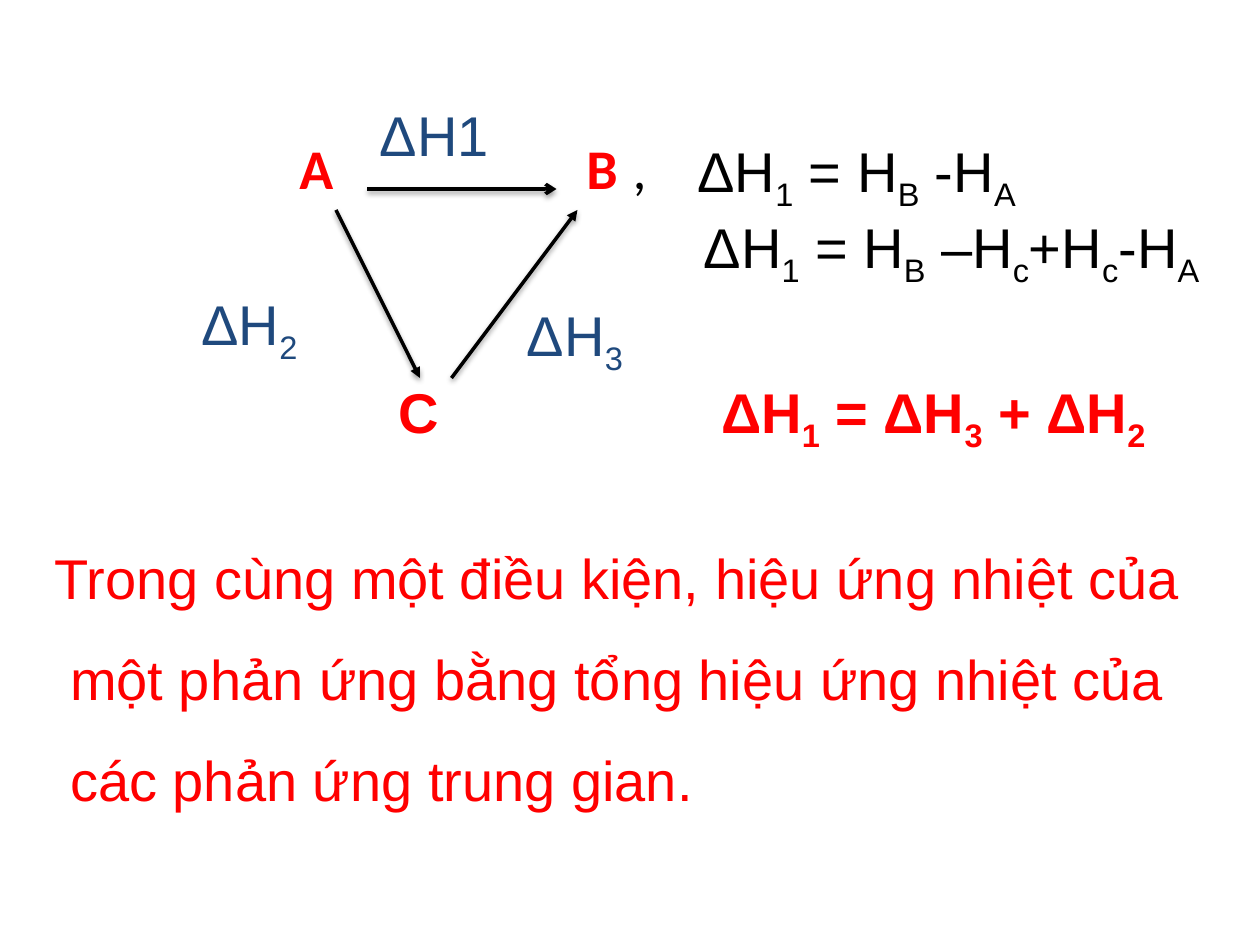
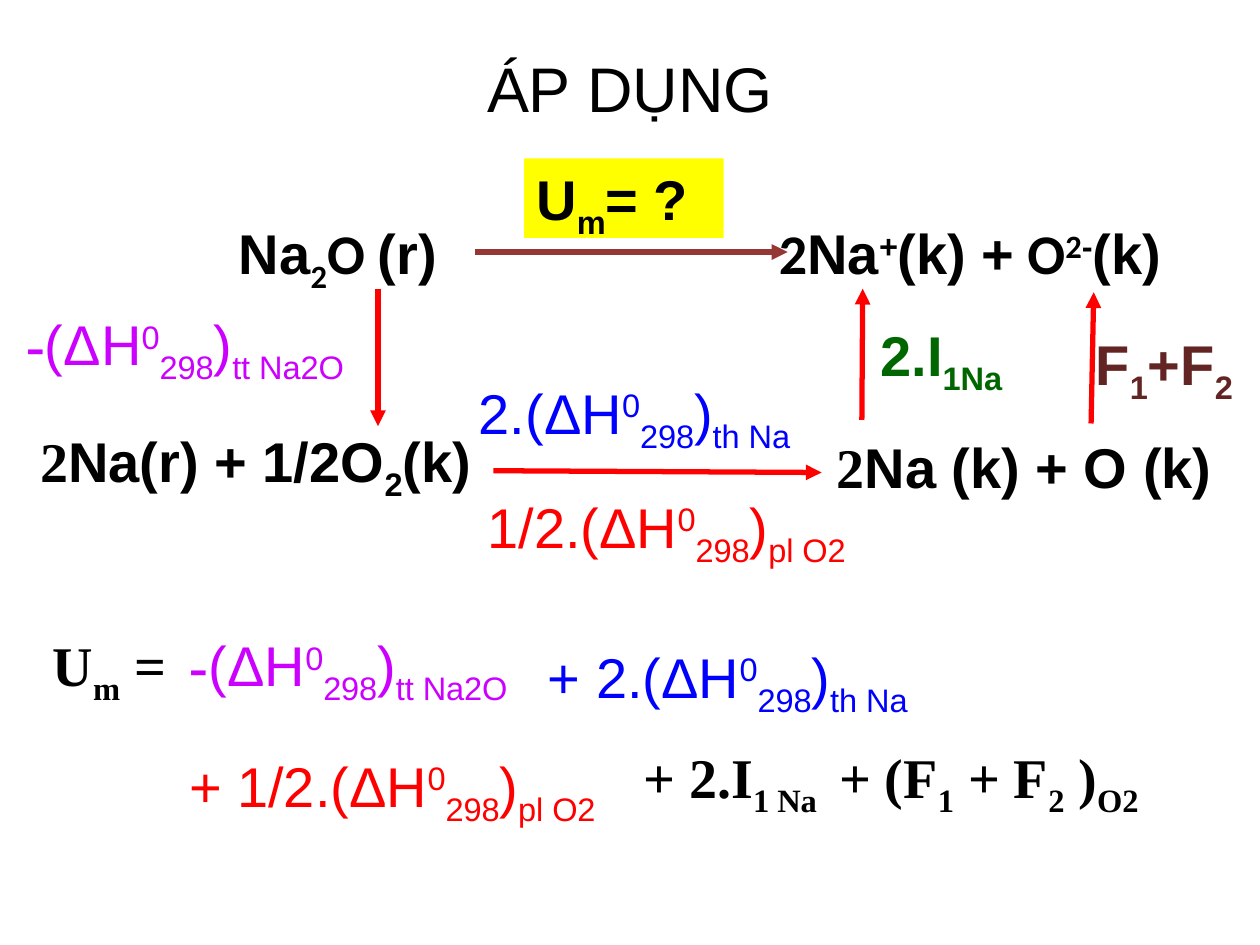
import pptx
import pptx.dml.color
import pptx.enum.shapes
import pptx.enum.text
import pptx.oxml
import pptx.oxml.ns
import pptx.util

Pt = pptx.util.Pt
RGB = pptx.dml.color.RGBColor

BLACK = RGB(0x00, 0x00, 0x00)
RED = RGB(0xFF, 0x00, 0x00)
BLUE = RGB(0x00, 0x00, 0xFF)
NAVY = RGB(0x1F, 0x49, 0x7D)
VIOLET = RGB(0xCC, 0x00, 0xFF)
GREEN = RGB(0x00, 0x66, 0x00)
MAROON = RGB(0x63, 0x25, 0x23)
BRICK = RGB(0x95, 0x37, 0x35)
YELLOW = RGB(0xFF, 0xFF, 0x00)

ARIAL, CALIBRI, TIMES = "Arial", "Calibri", "Times New Roman"
BASELINES = {"_": "-25000", "^": "30000"}
SOFT_SHADOW = (
    '<a:outerShdw blurRad="39370" dist="20320" dir="5400000" rotWithShape="0">'
    '<a:srgbClr val="000000"><a:alpha val="38000"/></a:srgbClr></a:outerShdw>'
)


def add_label(slide, left, top, width, color, *parts, size=32, height=46):
    """Add a text box; each part is (markup, font, bold).

    In the markup, | separates pieces; a piece led by _ or ^ is lowered or raised.
    """
    label = slide.shapes.add_textbox(Pt(left), Pt(top), Pt(width), Pt(height))
    label.text_frame.word_wrap = True
    for markup, font, bold in parts:
        look = {"name": font, "bold": bold, "size": Pt(size)}
        for piece in markup.split("|"):
            run = label.text_frame.paragraphs[0].add_run()
            run.text = piece.lstrip("_^")
            for attribute, value in look.items():
                setattr(run.font, attribute, value)
            run.font.color.rgb = color
            if piece[0] in BASELINES:
                run._r.get_or_add_rPr().set("baseline", BASELINES[piece[0]])
    return label


def add_arrow(slide, start, end, color, weight, head="triangle", effect=""):
    arrow = slide.shapes.add_connector(
        pptx.enum.shapes.MSO_CONNECTOR.STRAIGHT, *map(Pt, start + end))
    arrow.line.color.rgb = color
    arrow.line.width = Pt(weight)
    ns = pptx.oxml.ns.nsdecls("a")
    arrow.line._get_or_add_ln().append(
        pptx.oxml.parse_xml(f'<a:tailEnd {ns} type="{head}"/>'))
    arrow._element.spPr.append(
        pptx.oxml.parse_xml(f"<a:effectLst {ns}>{effect}</a:effectLst>"))


deck = pptx.Presentation()
deck.slide_width, deck.slide_height = Pt(720), Pt(540)
blank = deck.slide_layouts[6]

# Slide 1: the cycle A, B, C and the law
law = deck.slides.add_slide(blank)
for left, top, width, color, *parts in [
    (164, 73, 50, RED, ("A", CALIBRI, True)),
    (328, 73, 30, RED, ("B", CALIBRI, True)),
    (354.5, 73, 30, BLACK, (",", CALIBRI, False)),
    (220.5, 212, 50, RED, ("C", ARIAL, True)),
    (391.5, 74.5, 300, BLACK, ("ΔH|_1| = H|_B| -H|_A", ARIAL, False)),
    (395, 118, 320, BLACK, ("ΔH|_1| = H|_B| –H|_c|+H|_c|-H|_A", ARIAL, False)),
    (405, 212, 300, RED, ("ΔH|_1| = ΔH|_3| + ΔH|_2", ARIAL, True)),
    (210, 54, 80, NAVY, ("ΔH1", ARIAL, False)),
    (108, 162, 80, NAVY, ("ΔH|_2", ARIAL, False)),
    (294, 168, 80, NAVY, ("ΔH|_3", ARIAL, False)),
]:
    add_label(law, left, top, width, color, *parts)

statement = add_label(
    law, 6, 288, 690, RED,
    ("Trong cùng một điều kiện, hiệu ứng nhiệt của một phản ứng bằng "
     "tổng hiệu ứng nhiệt của các phản ứng trung gian.", ARIAL, False),
    height=132)
paragraph = statement.text_frame.paragraphs[0]
paragraph.line_spacing = 1.5
properties = paragraph._p.get_or_add_pPr()
properties.set("marL", str(Pt(27)))
properties.set("indent", str(Pt(-9)))

for start, end, head in [
    ((192, 120), (240, 216), "triangle"),
    ((258, 216), (330, 120), "triangle"),
    ((210, 108), (318, 108), "arrow"),
]:
    add_arrow(law, start, end, BLACK, 2, head, SOFT_SHADOW)

# Slide 2: the lattice energy cycle of Na2O
cycle = deck.slides.add_slide(blank)
title = add_label(cycle, 36, 5, 648, BLACK, ("ÁP DỤNG", ARIAL, False), size=36, height=90)
title.text_frame.vertical_anchor = pptx.enum.text.MSO_ANCHOR.MIDDLE
title.text_frame.paragraphs[0].alignment = pptx.enum.text.PP_ALIGN.CENTER

for start, end, color in [
    ((271.5, 144), (450, 144), BRICK),
    ((216, 165), (216, 243.5), RED),
    ((282, 269), (469.5, 270), RED),
    ((492.5, 240), (493, 165), RED),
    ((623.5, 242), (625, 167), RED),
]:
    add_arrow(cycle, start, end, color, 3)

unknown = add_label(cycle, 299.5, 90.5, 114, BLACK, ("U|_m|= ?", ARIAL, True), height=45.5)
unknown.fill.solid()
unknown.fill.fore_color.rgb = YELLOW

enthalpy = "(ΔH|^0|_298|)|_"
formation = [("-", TIMES, True), (enthalpy + "tt Na2O", ARIAL, False)]
sublimation = "2." + enthalpy + "th Na"
dissociation = "1/2." + enthalpy + "pl O2"

for left, top, width, color, *parts in [
    (129.5, 121.5, 150, BLACK,
     ("Na", ARIAL, True), ("_2|O ", CALIBRI, True), ("(r)", ARIAL, True)),
    (438, 121.5, 270, BLACK,
     ("2", CALIBRI, True), ("Na|^+|(k) +", ARIAL, True),
     (" O|^2", CALIBRI, True), ("^-|(k)", ARIAL, True)),
    (16, 240, 272, BLACK, ("2", TIMES, True), ("Na(r) + 1/2O|_2|(k)", ARIAL, True)),
    (471, 243.5, 245, BLACK, ("2", TIMES, True), ("Na (k) + O (k)", ARIAL, True)),
    (496, 179.5, 91.5, GREEN, ("2.I|_1Na", ARIAL, True)),
    (619, 185, 101, MAROON, ("F|_1|+F|_2", ARIAL, True)),
    (8, 173.5, 222, VIOLET, *formation),
    (266.5, 212.5, 216, BLUE, (sublimation, ARIAL, False)),
    (271.5, 278, 243, RED, (dissociation, ARIAL, False)),
    (23, 356.5, 96, BLACK, ("U|_m| =", TIMES, True)),
    (101.5, 357, 222, VIOLET, *formation),
    (306, 363.5, 240, BLUE, ("+ " + sublimation, ARIAL, False)),
    (101, 426, 266, RED, ("+ " + dissociation, ARIAL, False)),
    (360.5, 421, 328, BLACK,
     ("+ 2.I|_1 Na | + (F|_1| + F|_2| )|_O2", TIMES, True)),
]:
    add_label(cycle, left, top, width, color, *parts)

deck.save("out.pptx")
